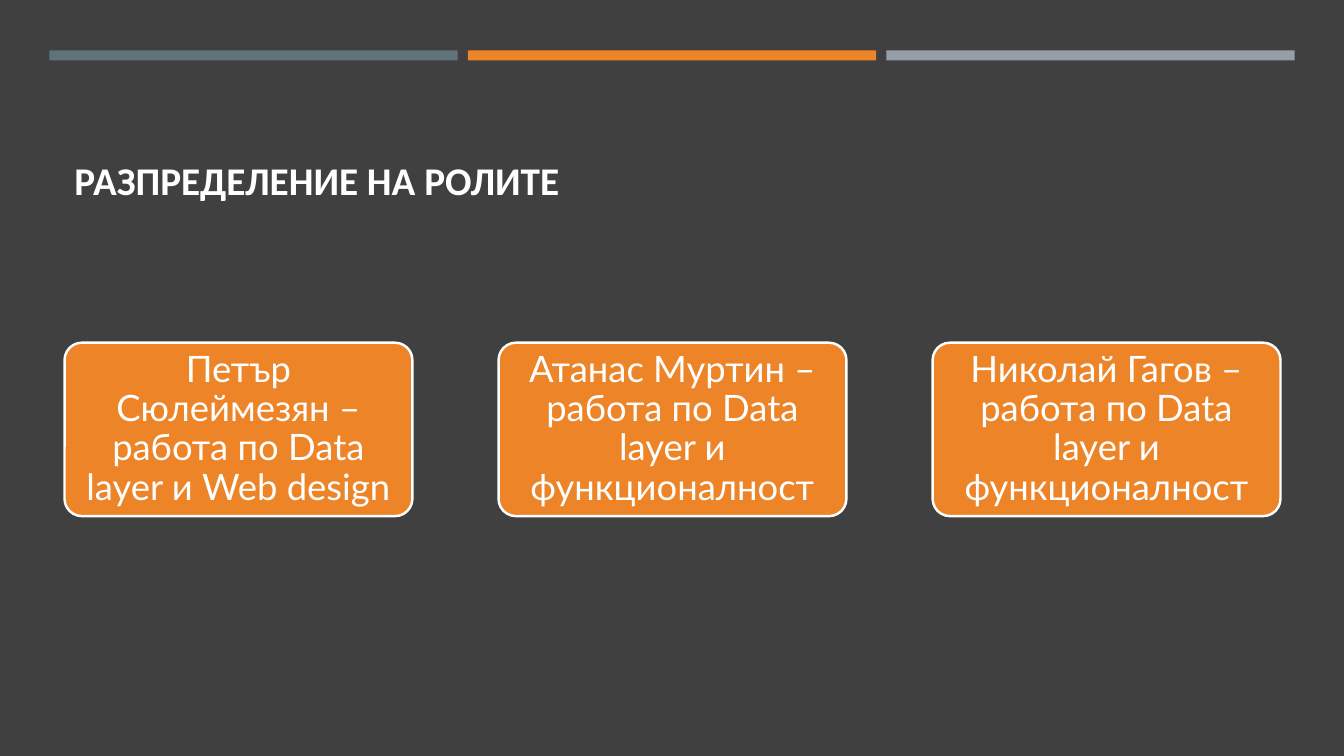
from dataclasses import dataclass

from pptx import Presentation
from pptx.dml.color import RGBColor
from pptx.enum.shapes import MSO_SHAPE as Preset
from pptx.enum.text import MSO_ANCHOR as Anchor, PP_ALIGN as Align
from pptx.shapes.autoshape import Shape
from pptx.slide import Slide
from pptx.util import Inches, Pt

CHARCOAL = RGBColor(0x40, 0x40, 0x40)
SLATE = RGBColor(0x60, 0x72, 0x7A)
ORANGE = RGBColor(0xED, 0x84, 0x28)
SILVER = RGBColor(0x96, 0x9F, 0xA7)
WHITE = RGBColor(0xFF, 0xFF, 0xFF)

SLIDE_WIDTH, SLIDE_HEIGHT = 13.33, 7.5
BAR_LEFT, BAR_PITCH = 0.49, 4.15
CARD_LEFT, CARD_PITCH = 0.64, 4.305


@dataclass(frozen=True)
class Box:
    left: float
    top: float
    width: float
    height: float

    def lengths(self) -> tuple[int, ...]:
        return tuple(Inches(v) for v in (self.left, self.top, self.width, self.height))


@dataclass(frozen=True)
class Role:
    member: str
    duty: str


ROLES = (
    Role("Петър Сюлеймезян", "работа по Data layer и Web design"),
    Role("Атанас Муртин", "работа по Data layer и функционалност"),
    Role("Николай Гагов", "работа по Data layer и функционалност"),
)


def add_block(slide: Slide, box: Box, color: RGBColor, preset: Preset = Preset.RECTANGLE) -> Shape:
    block = slide.shapes.add_shape(preset, *box.lengths())
    block.shadow.inherit = False
    block.fill.solid()
    block.fill.fore_color.rgb = color
    block.line.fill.background()
    return block


def write(shape: Shape, text: str, *, font: str, size: float, bold: bool = False,
          align: Align = Align.LEFT, anchor: Anchor = Anchor.MIDDLE,
          inset: tuple[float, float] = (0.1, 0.05), line_spacing: float = 1.0) -> None:
    frame = shape.text_frame
    frame.word_wrap = True
    frame.vertical_anchor = anchor
    frame.margin_left = frame.margin_right = Inches(inset[0])
    frame.margin_top = frame.margin_bottom = Inches(inset[1])
    paragraph = frame.paragraphs[0]
    paragraph.alignment = align
    paragraph.line_spacing = line_spacing
    run = paragraph.add_run()
    run.text = text
    run.font.name = font
    run.font.size = Pt(size)
    run.font.bold = bold
    run.font.color.rgb = WHITE


def add_role_card(slide: Slide, role: Role, left: float) -> None:
    card = add_block(slide, Box(left, 3.4, 3.45, 1.72), ORANGE, Preset.ROUNDED_RECTANGLE)
    card.adjustments[0] = 0.1
    card.line.color.rgb = WHITE
    card.line.width = Pt(1.75)
    write(card, f"{role.member} – {role.duty}", font="Lato", size=26,
          align=Align.CENTER, inset=(0.05, 0.04), line_spacing=0.9)


def main() -> None:
    deck = Presentation()
    deck.slide_width, deck.slide_height = Inches(SLIDE_WIDTH), Inches(SLIDE_HEIGHT)
    slide = deck.slides.add_slide(deck.slide_layouts[6])

    # Backdrop
    add_block(slide, Box(0, 0, SLIDE_WIDTH, SLIDE_HEIGHT), CHARCOAL)

    # Title
    title = slide.shapes.add_textbox(*Box(0.64, 0.77, 12.06, 1.3).lengths())
    write(title, "РАЗПРЕДЕЛЕНИЕ НА РОЛИТЕ", font="Calibri", size=28, bold=True,
          anchor=Anchor.BOTTOM)

    # Colour bars along the top
    for index, color in enumerate((SLATE, ORANGE, SILVER)):
        add_block(slide, Box(BAR_LEFT + index * BAR_PITCH, 0.5, 4.05, 0.1), color)

    # One card per team member
    for index, role in enumerate(ROLES):
        add_role_card(slide, role, CARD_LEFT + index * CARD_PITCH)

    deck.save("out.pptx")


if __name__ == "__main__":
    main()
